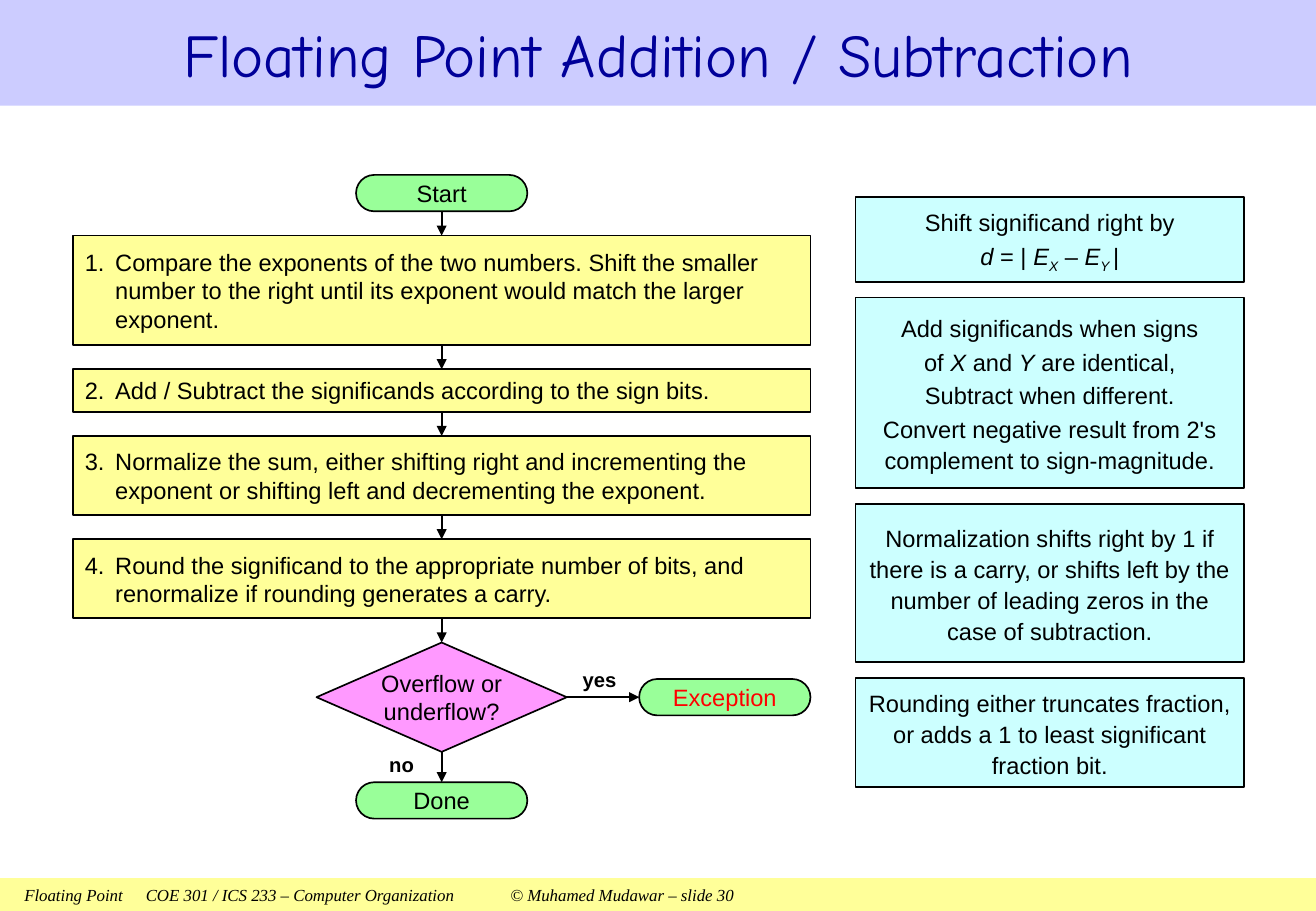
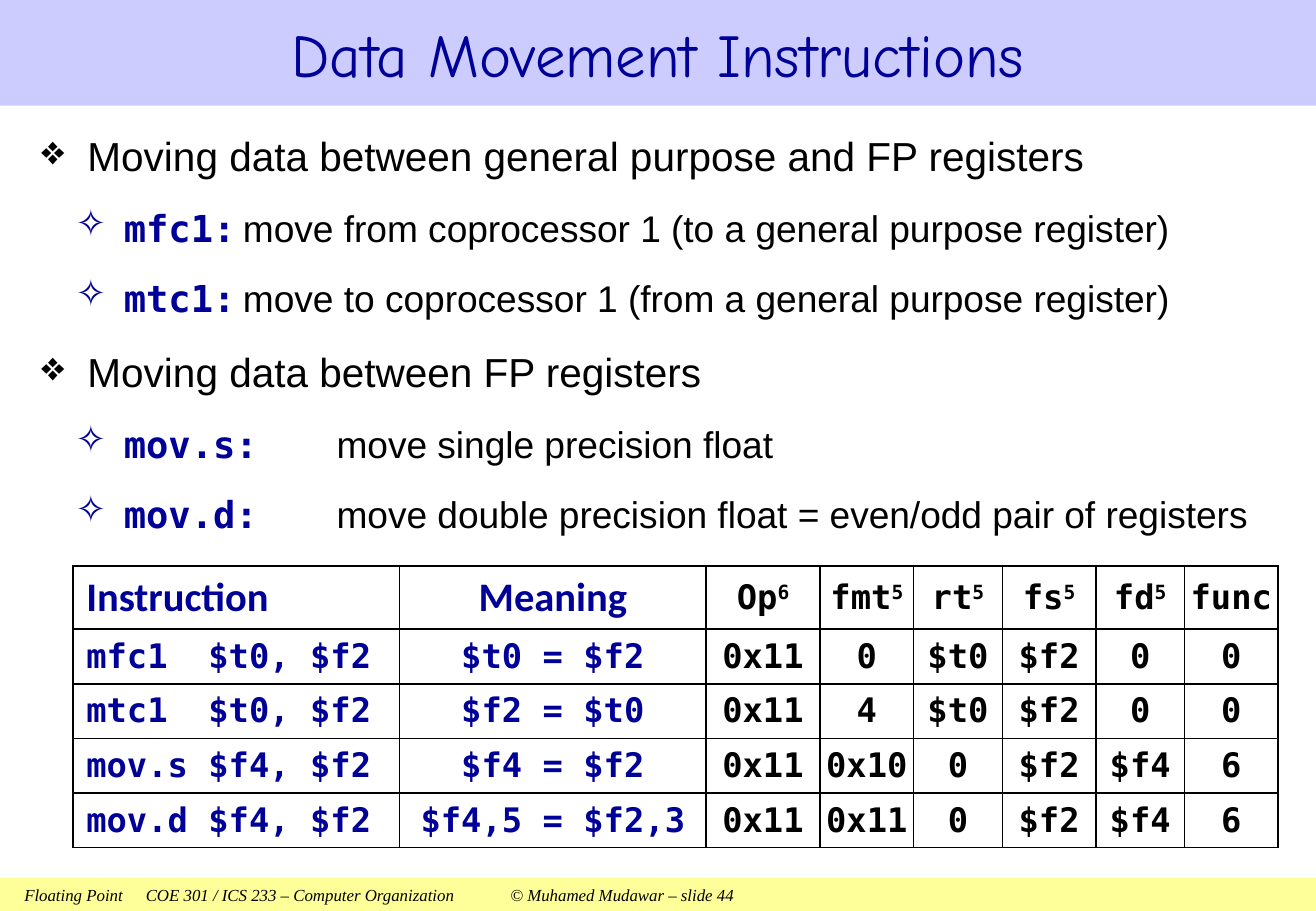
"""Builds two lecture slides: a floating point addition flowchart and data movement instructions."""
from lxml.etree import SubElement
from pptx import Presentation
from pptx.dml.color import RGBColor
from pptx.enum.shapes import MSO_CONNECTOR, MSO_SHAPE as SHAPE
from pptx.enum.text import MSO_ANCHOR as ANCHOR, PP_ALIGN as ALIGN
from pptx.oxml import parse_xml
from pptx.oxml.ns import nsdecls, qn
from pptx.util import Inches, Pt

WIDTH, HEIGHT = 10.83, 7.5
BAND = 0.87
FOOTER = 0.27
BLACK, NAVY, RED = "000000", "000099", "FF0000"
LILAC, YELLOW, GREEN, PINK, CYAN = "CCCCFF", "FFFF99", "99FF99", "FF99FF", "CCFFFF"
MONO = "DejaVu Sans Mono"
ITALIC = {"italic": True}
SUBSCRIPT = {"italic": True, "base": -25}
CODE = {"font": MONO, "color": NAVY, "bold": True}


def write(para, spans, size=14, font="Arial", color=BLACK, align=None, **shared):
    """Fill a paragraph with a string or with (text, style) spans."""
    para.alignment = align
    for text, own in [(spans, {})] if isinstance(spans, str) else spans:
        style = {"font": font, "color": color, **shared, **own}
        span = para.add_run()
        span.text = text
        span.font.size = Pt(size)
        span.font.name = style["font"]
        span.font.color.rgb = RGBColor.from_string(style["color"])
        span.font.bold = style.get("bold", False)
        span.font.italic = style.get("italic", False)
        if "base" in style:
            span.font._element.set("baseline", str(style["base"] * 1000))


def add_box(page, kind, left, top, width, height, fill, edge=True, inset=0.1):
    """Add a filled shape with middle-anchored text and return it."""
    box = page.shapes.add_shape(kind, *map(Inches, (left, top, width, height)))
    box.shadow.inherit = False
    box.fill.solid()
    box.fill.fore_color.rgb = RGBColor.from_string(fill)
    if edge:
        box.line.color.rgb = RGBColor.from_string(BLACK)
        box.line.width = Pt(1)
    else:
        box.line.fill.background()
    if kind == SHAPE.ROUNDED_RECTANGLE:
        box.adjustments[0] = 0.5
    frame = box.text_frame
    frame.word_wrap = True
    frame.vertical_anchor = ANCHOR.MIDDLE
    frame.margin_left = frame.margin_right = Inches(inset)
    frame.margin_top = frame.margin_bottom = 0
    return box


deck = Presentation()
deck.slide_width, deck.slide_height = Inches(WIDTH), Inches(HEIGHT)
pages = []
for title, number in [("Floating Point Addition / Subtraction", 30), ("Data Movement Instructions", 44)]:
    page = deck.slides.add_slide(deck.slide_layouts[6])
    pages.append(page)
    footer = add_box(page, SHAPE.RECTANGLE, 0, HEIGHT - FOOTER, WIDTH, FOOTER, YELLOW, edge=False, inset=0.2)
    para = footer.text_frame.paragraphs[0]
    write(para, "Floating Point\tCOE 301 / ICS 233 – Computer Organization"
          f"\t© Muhamed Mudawar – slide {number}", 10, "Times New Roman", align=ALIGN.LEFT, italic=True)
    stops = SubElement(para._p.get_or_add_pPr(), qn("a:tabLst"))
    for stop in (1, 4):
        SubElement(stops, qn("a:tab"), pos=str(Inches(stop)), algn="l")
    band = add_box(page, SHAPE.RECTANGLE, 0, 0, WIDTH, BAND, LILAC, edge=False)
    write(band.text_frame.paragraphs[0], title, 36, "Comic Neue", NAVY, ALIGN.CENTER)
flowchart, instructions = pages

STEP_LEFT, STEP_WIDTH = 0.6, 6.07
PILL_WIDTH, PILL_HEIGHT = 1.41, 0.3
DIAMOND_WIDTH = 2.06
AXIS = STEP_LEFT + STEP_WIDTH / 2
STEP = (SHAPE.RECTANGLE, STEP_WIDTH, YELLOW)
PILL = (SHAPE.ROUNDED_RECTANGLE, PILL_WIDTH, GREEN)
DIAMOND = (SHAPE.DIAMOND, DIAMOND_WIDTH, PINK)
flow = [
    (PILL, PILL_HEIGHT, 0.2, ["Start"]),
    (STEP, 0.9, 0.2, ["1.\tCompare the exponents of the two numbers. Shift the smaller number to the right "
                      "until its exponent would match the larger exponent."]),
    (STEP, 0.35, 0.2, ["2.\tAdd / Subtract the significands according to the sign bits."]),
    (STEP, 0.65, 0.2, ["3.\tNormalize the sum, either shifting right and incrementing the exponent "
                       "or shifting left and decrementing the exponent."]),
    (STEP, 0.65, 0.2, ["4.\tRound the significand to the appropriate number of bits, "
                       "and renormalize if rounding generates a carry."]),
    (DIAMOND, 0.9, 0.25, ["Overflow or", "underflow?"]),
    (PILL, PILL_HEIGHT, 0, ["Done"]),
]
arrows = []
top = 1.44
for (kind, width, fill), height, gap, lines in flow:
    is_step = kind == SHAPE.RECTANGLE
    box = add_box(flowchart, kind, AXIS - width / 2, top, width, height, fill, inset=0.1 if is_step else 0)
    for index, line in enumerate(lines):
        para = box.text_frame.add_paragraph() if index else box.text_frame.paragraphs[0]
        write(para, line, align=ALIGN.LEFT if is_step else ALIGN.CENTER)
        if is_step:
            hanging = para._p.get_or_add_pPr()
            hanging.set("marL", str(Inches(0.25)))
            hanging.set("indent", str(-Inches(0.25)))
    if kind == SHAPE.DIAMOND:
        branch, decision_bottom = top + height / 2, top + height
    if gap:
        arrows.append((AXIS, top + height, AXIS, top + height + gap))
    top += height + gap

exception_left = STEP_LEFT + STEP_WIDTH - PILL_WIDTH
exception = add_box(flowchart, SHAPE.ROUNDED_RECTANGLE, exception_left, branch - PILL_HEIGHT / 2,
                    PILL_WIDTH, PILL_HEIGHT, GREEN)
write(exception.text_frame.paragraphs[0], "Exception", color=RED, align=ALIGN.CENTER)
decision_right = AXIS + DIAMOND_WIDTH / 2
arrows.append((decision_right, branch, exception_left, branch))

for ends in arrows:
    arrow = flowchart.shapes.add_connector(MSO_CONNECTOR.STRAIGHT, *map(Inches, ends))
    arrow.line.color.rgb = RGBColor.from_string(BLACK)
    arrow.line.width = Pt(1)
    SubElement(arrow.line._get_or_add_ln(), qn("a:tailEnd"), type="triangle")
    SubElement(arrow._element.spPr, qn("a:effectLst"))

for answer, left, top in [("yes", decision_right, branch - 0.25), ("no", AXIS - 0.6, decision_bottom)]:
    label = flowchart.shapes.add_textbox(*map(Inches, (left, top, 0.54, 0.2)))
    frame = label.text_frame
    frame.word_wrap = True
    frame.vertical_anchor = ANCHOR.BOTTOM
    frame.margin_left = frame.margin_right = frame.margin_top = frame.margin_bottom = 0
    write(frame.paragraphs[0], answer, 12, align=ALIGN.CENTER, bold=True)

notes = [
    (0.7, ["Shift significand right by",
           [("d", ITALIC), (" = | ", {}), ("E", ITALIC), ("X", SUBSCRIPT), (" – ", {}),
            ("E", ITALIC), ("Y ", SUBSCRIPT), ("|", {})]]),
    (1.57, ["Add significands when signs",
            [("of ", {}), ("X", ITALIC), (" and ", {}), ("Y", ITALIC), (" are identical,", {})],
            "Subtract when different.",
            "Convert negative result from 2's complement to sign-magnitude."]),
    (1.3, ["Normalization shifts right by 1 if there is a carry, or shifts left by the number of "
           "leading zeros in the case of subtraction."]),
    (0.9, ["Rounding either truncates fraction, or adds a 1 to least significant fraction bit."]),
]
top = 1.62
for height, lines in notes:
    note = add_box(flowchart, SHAPE.RECTANGLE, 7.04, top, 3.2, height, CYAN)
    for index, line in enumerate(lines):
        para = note.text_frame.add_paragraph() if index else note.text_frame.paragraphs[0]
        write(para, line, align=ALIGN.CENTER)
        para.line_spacing = 1.1
        para.space_before = Pt(1.4)
    top += height + 0.13

bullets = [
    (None, "Moving data between general purpose and FP registers", None),
    ("mfc1:", "move from coprocessor 1 (to a general purpose register)", 1.66),
    ("mtc1:", "move to coprocessor 1 (from a general purpose register)", 1.66),
    (None, "Moving data between FP registers", None),
    ("mov.s:", "move single precision float", 2.43),
    ("mov.d:", "move double precision float = even/odd pair of registers", 2.43),
]
body = instructions.shapes.add_textbox(*map(Inches, (0.34, 0.95, 10.24, 3.62))).text_frame
body.word_wrap = True
body.margin_left = body.margin_right = 0
for index, (code, text, stop) in enumerate(bullets):
    para = body.add_paragraph() if index else body.paragraphs[0]
    if code:
        write(para, [(code, CODE), ("\t" + text, {})], 22)
        sign, color, margin, hang = "✧", NAVY, 0.68, 0.4
        para.level = 1
    else:
        write(para, text, 24)
        sign, color, margin, hang = "❖", BLACK, 0.38, 0.38
    para.line_spacing = 1.2
    para.space_before = Pt(10)
    layout = para._p.get_or_add_pPr()
    layout.set("marL", str(Inches(margin)))
    layout.set("indent", str(-Inches(hang)))
    SubElement(SubElement(layout, qn("a:buClr")), qn("a:srgbClr"), val=color)
    SubElement(layout, qn("a:buChar"), char=sign)
    if stop:
        SubElement(SubElement(layout, qn("a:tabLst")), qn("a:tab"), pos=str(Inches(stop)), algn="l")

columns = [2.69, 2.52, 0.94, 0.77, 0.73, 0.77, 0.73, 0.77]
heights = [0.52] + [0.45] * 4
rows = [
    ["Instruction", "Meaning", "Op 6", "fmt 5", "rt 5", "fs 5", "fd 5", "func"],
    ["mfc1  $t0, $f2", "$t0 = $f2", "0x11", "0", "$t0", "$f2", "0", "0"],
    ["mtc1  $t0, $f2", "$f2 = $t0", "0x11", "4", "$t0", "$f2", "0", "0"],
    ["mov.s $f4, $f2", "$f4 = $f2", "0x11", "0x10", "0", "$f2", "$f4", "6"],
    ["mov.d $f4, $f2", "$f4,5 = $f2,3", "0x11", "0x11", "0", "$f2", "$f4", "6"],
]
table = instructions.shapes.add_table(len(rows), len(columns), Inches(0.6), Inches(4.66),
                                      Inches(sum(columns)), Inches(sum(heights))).table
table.first_row = table.horz_banding = False
for column, width in zip(table.columns, columns):
    column.width = Inches(width)
for r, (row, height) in enumerate(zip(rows, heights)):
    table.rows[r].height = Inches(height)
    for c, text in enumerate(row):
        cell = table.cell(r, c)
        cell.vertical_anchor = ANCHOR.MIDDLE
        cell.margin_left = cell.margin_right = Inches(0 if c else 0.11)
        cell.margin_top = cell.margin_bottom = Inches(0.04)
        para = cell.text_frame.paragraphs[0]
        align = ALIGN.CENTER if c else ALIGN.LEFT
        if r == 0 and c < 2:
            write(para, text, 24, "Calibri", NAVY, align, bold=True)
        elif r == 0:
            name, _, bits = text.partition(" ")
            spans = [(name, {})] + ([(bits, {"base": 30})] if bits else [])
            write(para, spans, 20, MONO, align=align, bold=True)
        else:
            write(para, text, 20, MONO, NAVY if c < 2 else BLACK, align, bold=True)
        for side in "LRTB":
            cell._tc.get_or_add_tcPr().append(parse_xml(
                f'<a:ln{side} {nsdecls("a")} w="{Pt(1)}"><a:solidFill><a:srgbClr val="{BLACK}"/>'
                f'</a:solidFill></a:ln{side}>'))
        cell.fill.background()

deck.save("out.pptx")
